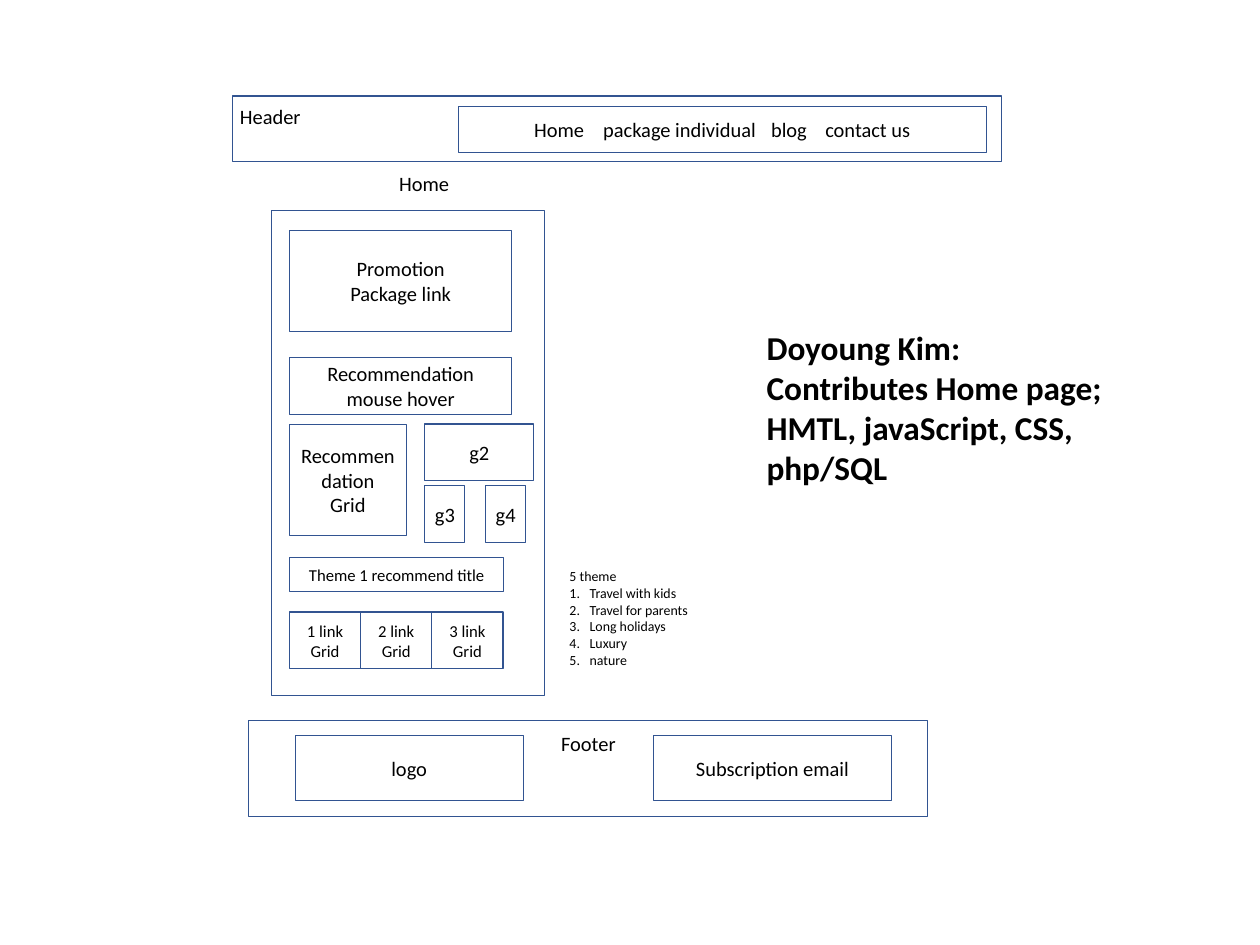
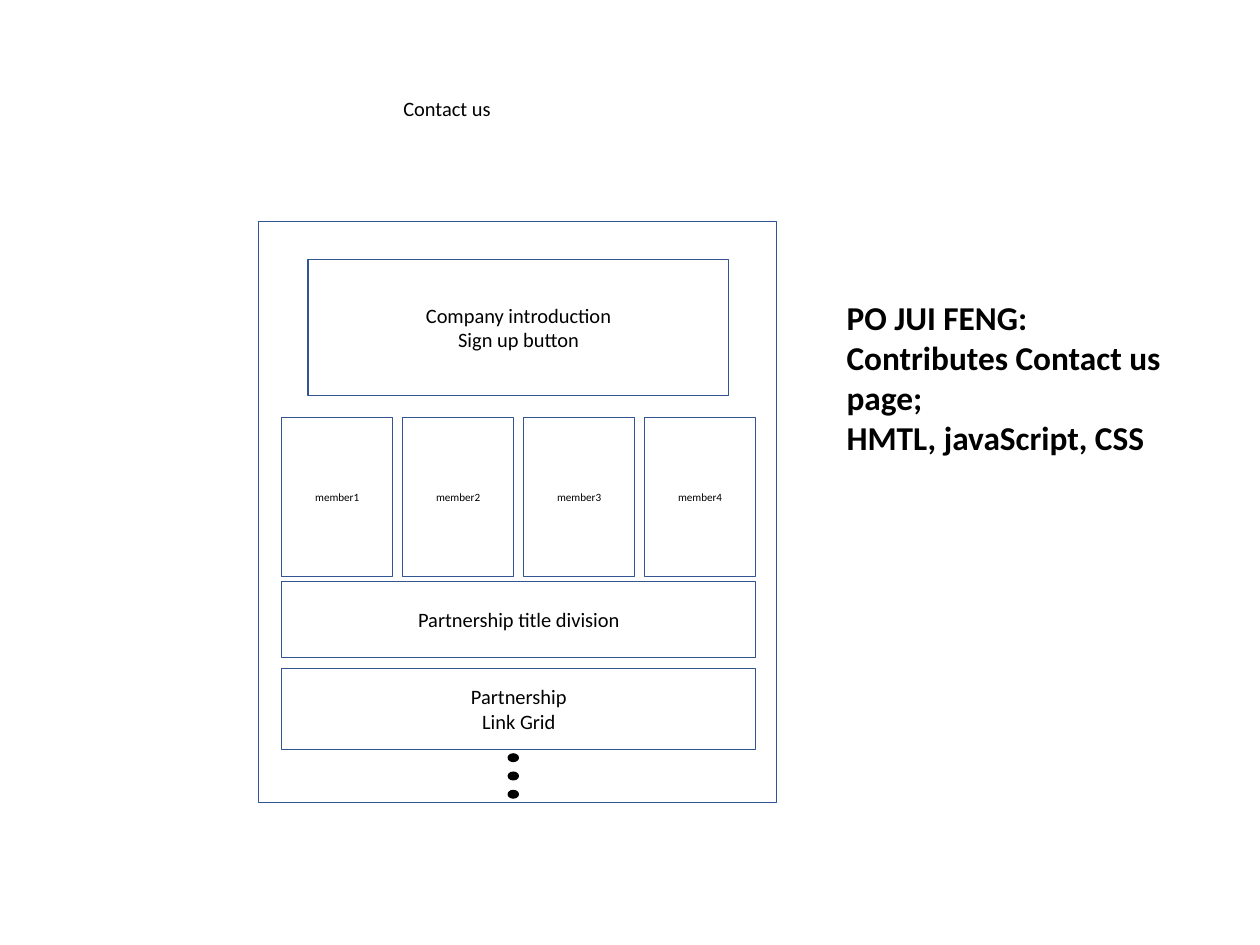
from lxml.etree import SubElement
from pptx import Presentation
from pptx.dml.color import RGBColor
from pptx.enum.shapes import MSO_SHAPE
from pptx.enum.text import MSO_ANCHOR, MSO_AUTO_SIZE, PP_ALIGN
from pptx.oxml.ns import qn
from pptx.util import Cm, Pt

INK = RGBColor(0x00, 0x00, 0x00)
OUTLINE = RGBColor(0x32, 0x54, 0x91)
NORMAL, MEDIUM, LIST, SMALL, LARGE = 18.4, 15, 12.5, 10, 30

COLUMN, CELL_WIDTH = 9.19, 2.26
MEMBER_LEFT, MEMBER_STEP = 8.94, 3.84
DOT_TOP, DOT_STEP = 23.93, 0.58

HOME = {
    "title": ("Home", (12.42, 5.31, 2.41, 1.27)),
    "note": ("Doyoung Kim:\nContributes Home page;\nHMTL, javaScript, CSS, php/SQL",
             (24.08, 10.26, 14.15, 6.66)),
    "boxes": [
        ("", (8.61, 6.68, 8.69, 15.39), NORMAL),
        ("Promotion\nPackage link", (COLUMN, 7.32, 7.06, 3.2), NORMAL),
        ("Recommendation\nmouse hover", (COLUMN, 11.35, 7.06, 1.8), NORMAL),
        ("Recommendation\nGrid", (COLUMN, 13.49, 3.71, 3.51), NORMAL),
        ("g2", (13.49, 13.46, 3.45, 1.8), NORMAL),
        ("g3", (13.49, 15.42, 1.27, 1.8), NORMAL),
        ("g4", (15.42, 15.42, 1.27, 1.8), NORMAL),
        ("Theme 1 recommend title", (COLUMN, 17.7, 6.81, 1.09), MEDIUM),
    ] + [
        (f"{number + 1} link\nGrid",
         (COLUMN + number * CELL_WIDTH, 19.43, CELL_WIDTH, 1.8), MEDIUM)
        for number in range(3)
    ],
}
CONTACT = {
    "title": ("Contact us", (12.55, 2.92, 7.19, 1.73)),
    "note": ("PO JUI FENG:\nContributes Contact us page;\nHMTL, javaScript, CSS",
             (26.62, 9.3, 12.57, 6.68)),
    "boxes": [
        ("", (8.2, 7.04, 16.46, 18.44), NORMAL),
        ("Company introduction\nSign up button", (9.78, 8.23, 13.36, 4.32), NORMAL),
        ("Partnership title division", (MEMBER_LEFT, 18.47, 15.06, 2.41), NORMAL),
        ("Partnership\nLink Grid", (MEMBER_LEFT, 21.21, 15.06, 2.59), NORMAL),
    ] + [
        (f"member{number + 1}",
         (MEMBER_LEFT + number * MEMBER_STEP, 13.26, 3.53, 5.03), SMALL)
        for number in range(4)
    ],
}
HEADER = ("Header", (7.37, 3.05, 24.43, 2.08))
NAVIGATION = ("Home\tpackage individual\tblog\tcontact us", (14.55, 3.38, 16.76, 1.47))
NAVIGATION_STOPS = (2.19, 7.52, 9.24)
FOOTER = ("Footer", (7.9, 22.86, 21.56, 3.05))
FOOTER_BOXES = [
    ("logo", (9.37, 23.34, 7.24, 2.08)),
    ("Subscription email", (20.75, 23.34, 7.54, 2.08)),
]
THEMES = ("5 theme\nTravel with kids\nTravel for parents\nLong holidays\nLuxury\nnature",
          (17.83, 17.91, 4.93, 4.88))


def apply(target, values):
    for name, value in values.items():
        setattr(target, name, value)


def write(shape, text, size, align=PP_ALIGN.LEFT, bold=False, **frame_values):
    frame = shape.text_frame
    frame.text = text
    apply(frame, {"word_wrap": True, "auto_size": MSO_AUTO_SIZE.NONE,
                  "vertical_anchor": MSO_ANCHOR.TOP, **frame_values})
    for para in frame.paragraphs:
        apply(para, {"alignment": align, "space_before": Pt(0), "line_spacing": 1.0})
        for span in para.runs:
            apply(span.font, {"name": "Calibri", "size": Pt(size), "bold": bold})
            span.font.color.rgb = INK
    return frame.paragraphs


def add_outline(page, place, kind=MSO_SHAPE.RECTANGLE, line=OUTLINE, fill=None):
    shape = page.shapes.add_shape(kind, *map(Cm, place))
    shape.shadow.inherit = False
    shape.line.color.rgb = line
    shape.line.width = Pt(1)
    if fill is None:
        shape.fill.background()
    else:
        shape.fill.solid()
        shape.fill.fore_color.rgb = fill
    return shape


def add_box(page, text, place, size=NORMAL):
    box = add_outline(page, place)
    if text:
        write(box, text, size, PP_ALIGN.CENTER, vertical_anchor=MSO_ANCHOR.MIDDLE)


def fill_placeholder(shape, text, place, size, bold=False):
    apply(shape, dict(zip(("left", "top", "width", "height"), map(Cm, place))))
    return write(shape, text, size, bold=bold)


def add_page(deck, content):
    page = deck.slides.add_slide(deck.slide_layouts[1])
    title, note = page.placeholders
    fill_placeholder(title, *content["title"], NORMAL)
    for para in fill_placeholder(note, *content["note"], LARGE, bold=True):
        properties = para._p.get_or_add_pPr()
        properties.set("marL", "0")
        properties.set("indent", "0")
        SubElement(properties, qn("a:buNone"))
    for text, place, size in content["boxes"]:
        add_box(page, text, place, size)
    return page


def add_header(page):
    text, place = HEADER
    write(add_outline(page, place), text, NORMAL, margin_top=Cm(0.25))
    text, place = NAVIGATION
    navigation = write(add_outline(page, place), text, NORMAL,
                       margin_left=Cm(2.41), vertical_anchor=MSO_ANCHOR.MIDDLE)
    stops = SubElement(navigation[0]._p.get_or_add_pPr(), qn("a:tabLst"))
    for position in NAVIGATION_STOPS:
        SubElement(stops, qn("a:tab"), pos=str(Cm(position)), algn="l")


def add_footer(page):
    text, place = FOOTER
    write(add_outline(page, place), text, NORMAL, PP_ALIGN.CENTER, margin_top=Cm(0.34))
    for text, place in FOOTER_BOXES:
        add_box(page, text, place)


def add_themes(page):
    text, place = THEMES
    box = page.shapes.add_textbox(*map(Cm, place))
    for para in write(box, text, LIST)[1:]:
        properties = para._p.get_or_add_pPr()
        properties.set("marL", str(Cm(0.64)))
        properties.set("indent", str(-Cm(0.64)))
        SubElement(properties, qn("a:buFont"), typeface="+mj-lt")
        SubElement(properties, qn("a:buAutoNum"), type="arabicPeriod")


deck = Presentation()
deck.slide_width, deck.slide_height = Cm(40), Cm(30)

home = add_page(deck, HOME)
add_header(home)
add_footer(home)
add_themes(home)

contact = add_page(deck, CONTACT)
for number in range(3):
    place = (16.13, DOT_TOP + number * DOT_STEP, 0.33, 0.25)
    add_outline(contact, place, MSO_SHAPE.OVAL, INK, INK)

deck.save("out.pptx")
